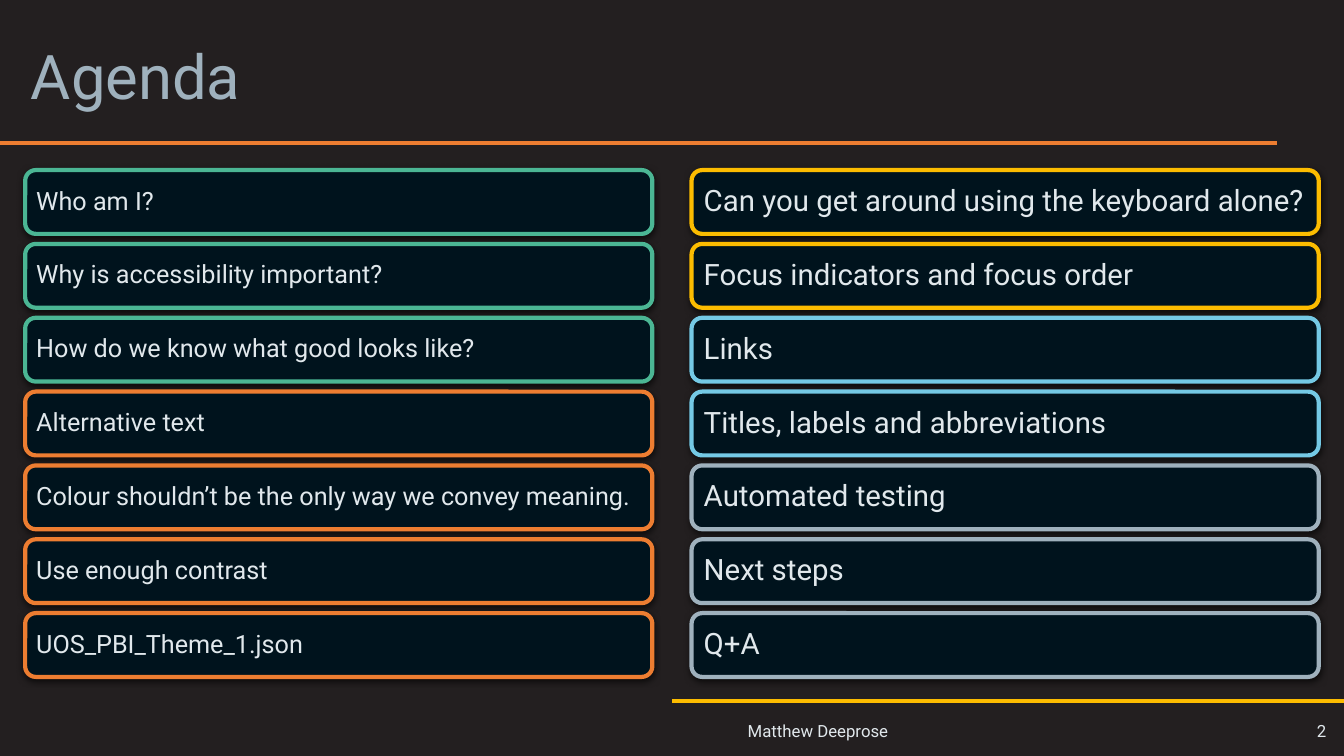
from lxml.etree import SubElement
from pptx import Presentation
from pptx.dml.color import RGBColor
from pptx.enum.shapes import MSO_CONNECTOR, MSO_SHAPE
from pptx.enum.text import MSO_ANCHOR, PP_ALIGN
from pptx.oxml.ns import qn
from pptx.util import Pt

BACKGROUND, CARD, TEXT = "231F20", "00131D", "E1E8EC"
GREEN, ORANGE, YELLOW, BLUE, GREY = "4BB694", "ED7D31", "FCBC00", "74C9E5", "9FB1BD"

LEFT_TOPICS = [
    ("Who am I?", GREEN),
    ("Why is accessibility important?", GREEN),
    ("How do we know what good looks like?", GREEN),
    ("Alternative text", ORANGE),
    ("Colour shouldn’t be the only way we convey meaning.", ORANGE),
    ("Use enough contrast", ORANGE),
    ("UOS_PBI_Theme_1.json", ORANGE),
]
RIGHT_TOPICS = [
    ("Can you get around using the keyboard alone?", YELLOW),
    ("Focus indicators and focus order", YELLOW),
    ("Links", BLUE),
    ("Titles, labels and abbreviations", BLUE),
    ("Automated testing", GREY),
    ("Next steps", GREY),
    ("Q+A", GREY),
]


def paint(target, color):
    target.solid()
    target.fore_color.rgb = RGBColor.from_string(color)


def write(shape, text, size, color, align=PP_ALIGN.LEFT, spacing=1.0):
    frame = shape.text_frame
    frame.text = text
    frame.word_wrap = True
    frame.vertical_anchor = MSO_ANCHOR.MIDDLE
    para = frame.paragraphs[0]
    para.alignment = align
    para.line_spacing = spacing
    for span in para.runs:
        span.font.name = "Roboto"
        span.font.size = Pt(size)
        span.font.color.rgb = RGBColor.from_string(color)


def add_text(page, box, *style):
    write(page.shapes.add_textbox(*map(Pt, box)), *style)


def add_rule(page, start, end, y, color):
    rule = page.shapes.add_connector(
        MSO_CONNECTOR.STRAIGHT, Pt(start), Pt(y), Pt(end), Pt(y))
    paint(rule.line.fill, color)
    rule.line.width = Pt(3)
    SubElement(rule._element.spPr, qn("a:effectLst"))


def add_shadow(shape):
    shape.shadow.inherit = False
    effects = shape._element.spPr.find(qn("a:effectLst"))
    shadow = SubElement(
        effects, qn("a:outerShdw"), blurRad=str(Pt(4.5)), dist=str(Pt(1.5)),
        dir="5400000", algn="ctr", rotWithShape="0")
    tint = SubElement(shadow, qn("a:srgbClr"), val="000000")
    SubElement(tint, qn("a:alpha"), val="63000")


def add_card(page, box, text, outline, size, inset):
    card = page.shapes.add_shape(MSO_SHAPE.ROUNDED_RECTANGLE, *map(Pt, box))
    paint(card.fill, CARD)
    paint(card.line.fill, outline)
    card.line.width = Pt(3)
    add_shadow(card)
    write(card, text, size, TEXT, spacing=0.9)
    card.text_frame.margin_left = Pt(inset)
    card.text_frame.margin_right = Pt(4)


def add_topics(page, box, topics, size, inset):
    left, top, width, height = box
    gap = 7.2
    card_height = (height - gap * (len(topics) - 1)) / len(topics)
    for index, (text, outline) in enumerate(topics):
        card_top = top + index * (card_height + gap)
        add_card(page, (left, card_top, width, card_height), text, outline, size, inset)


def add_header(page, box):
    left, top, width, height = box
    add_rule(page, 0, 912, top + height, ORANGE)
    add_text(page, box, "Agenda", 44, GREY, PP_ALIGN.LEFT, 0.9)


def add_footer(page, box):
    left, top, width, height = box
    add_rule(page, left, left + width, top, YELLOW)
    add_text(page, (left + 47, top + 6, 338, 29.5), "Matthew Deeprose", 12, TEXT)
    add_text(page, (left + 403.5, top + 6, 71, 29.5), "2", 12, TEXT, PP_ALIGN.RIGHT)


def main():
    deck = Presentation()
    deck.slide_width, deck.slide_height = Pt(960), Pt(540)
    page = deck.slides.add_slide(deck.slide_layouts[6])
    paint(page.background.fill, BACKGROUND)
    add_header(page, (15, 11.5, 926.5, 90.75))
    add_topics(page, (18, 121.5, 448, 362), LEFT_TOPICS, 18, 5.7)
    add_topics(page, (494, 121.5, 448, 362), RIGHT_TOPICS, 21, 6.5)
    add_footer(page, (480, 501, 480, 39))
    deck.save("out.pptx")


if __name__ == "__main__":
    main()
